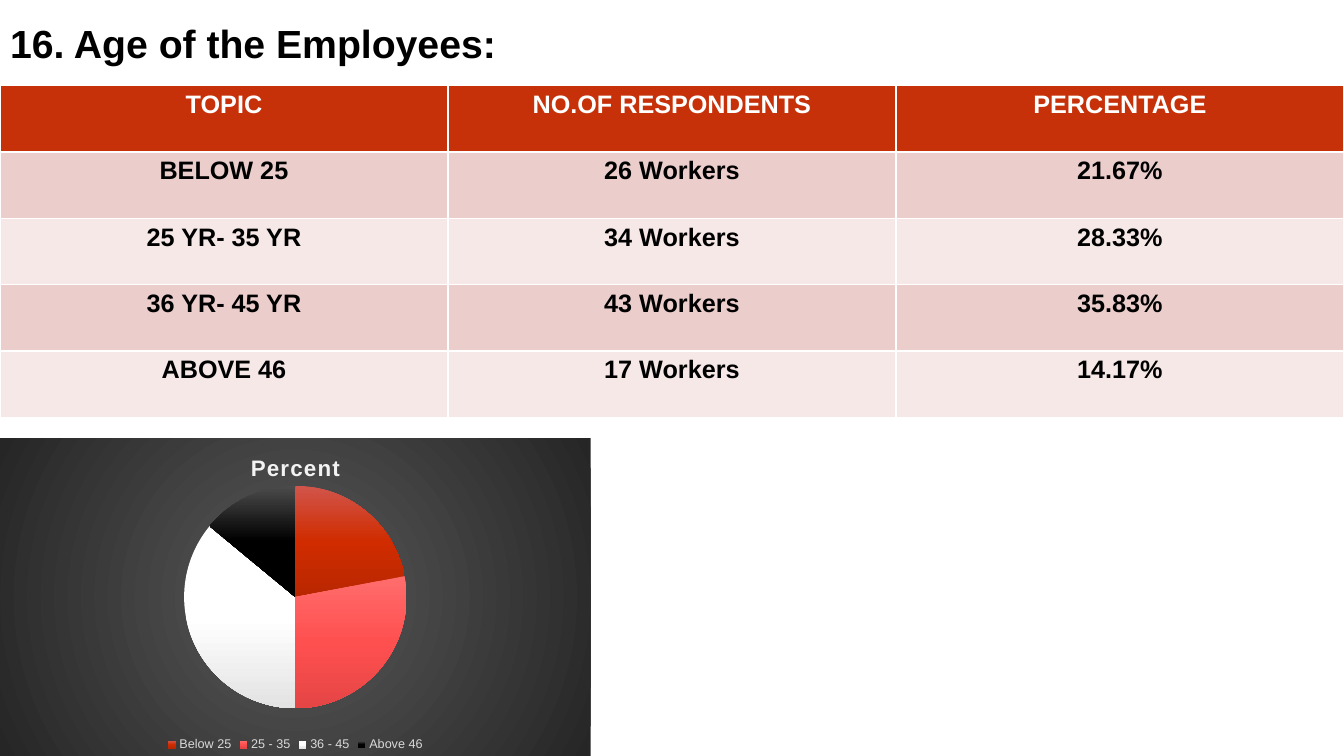
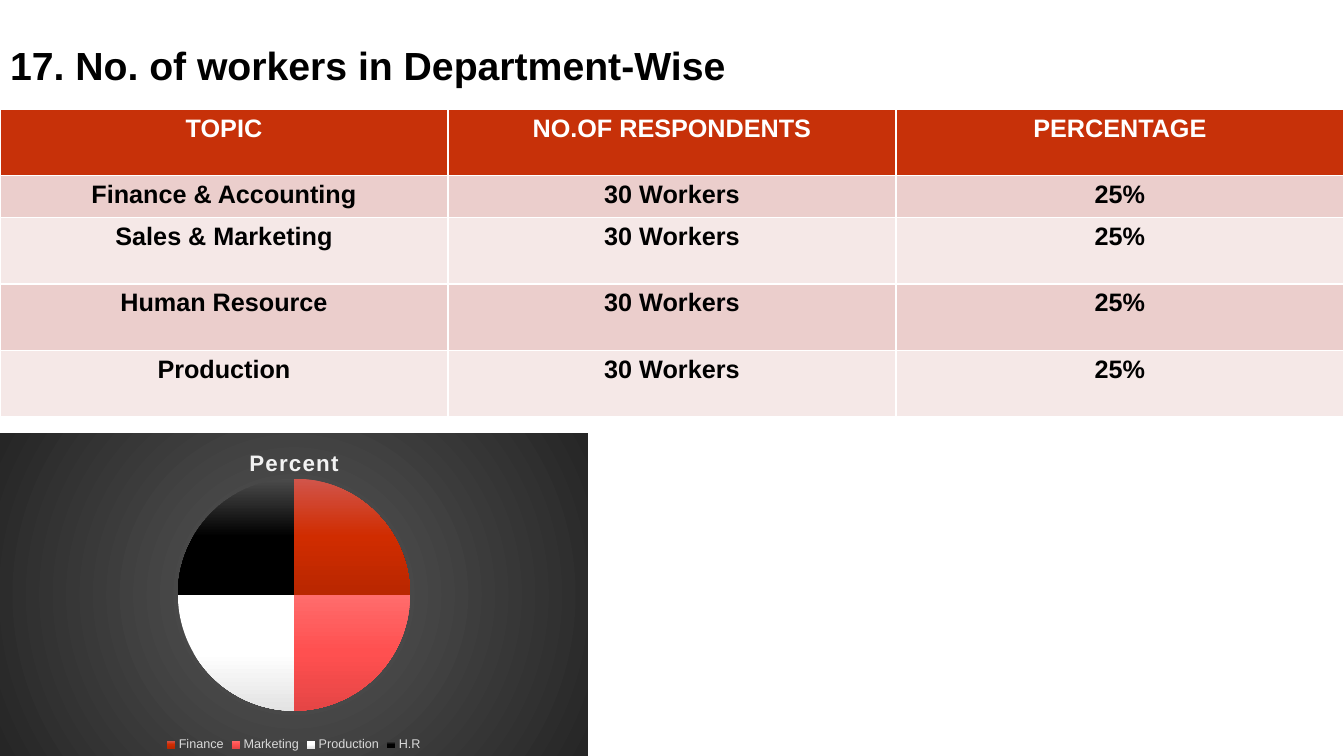
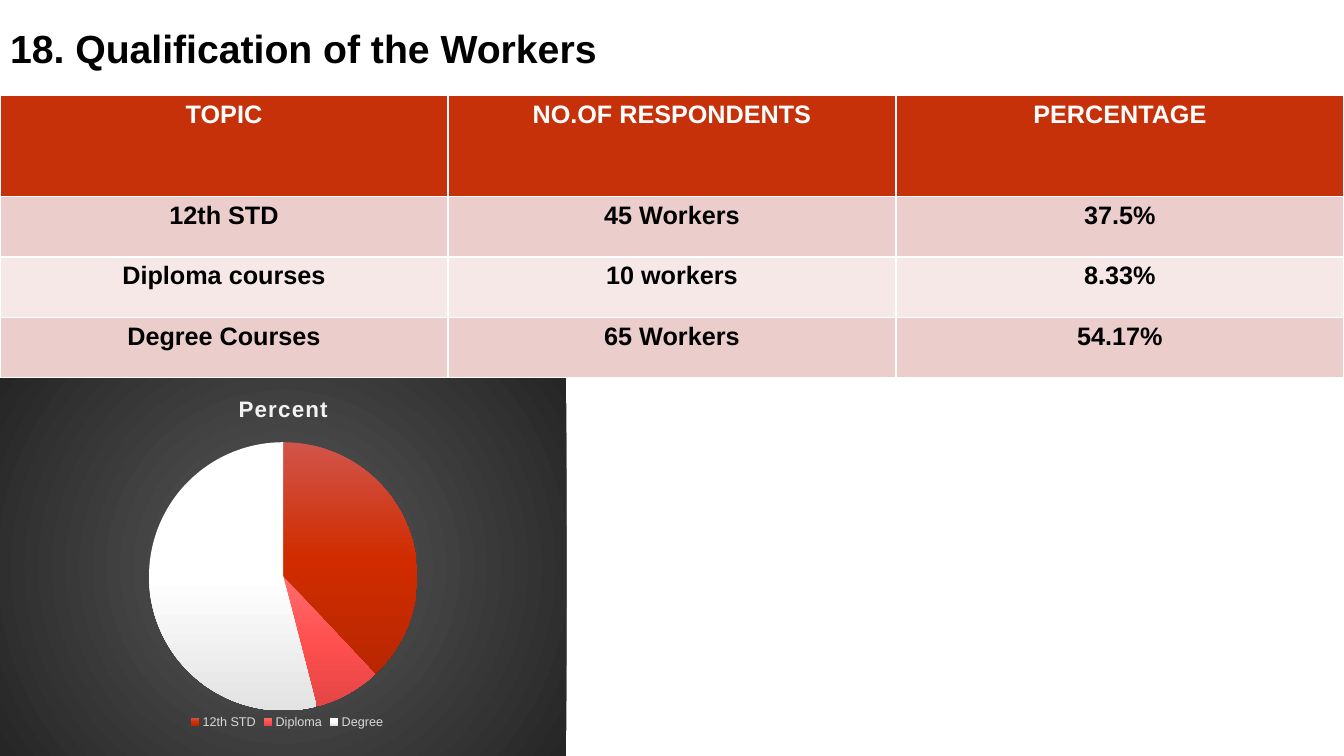
from dataclasses import dataclass

import pptx
import pptx.chart.data
import pptx.dml.color
import pptx.enum.chart
import pptx.enum.text
import pptx.oxml
import pptx.oxml.ns
import pptx.util

Pt = pptx.util.Pt
WIDTH, HEIGHT = 960, 540


@dataclass(frozen=True)
class Theme:
    face: str = "Arial"
    ink: str = "000000"
    paper: str = "FFFFFF"
    head: str = "C73109"
    bands: tuple = ("EBCECC", "F5E8E7")
    glow: tuple = ("595959", "262626")
    slices: tuple = (
        ("D1554B", "D02C00", "B92700"),
        ("FF6C6C", "FF5050", "E54545"),
        ("FFFFFF", "FFFFFF", "E3E3E3"),
        ("4B4B4B", "000000", "000000"),
    )
    label: str = "F2F2F2"
    key: str = "D9D9D9"
    title_size: int = 28
    cell_size: int = 18
    label_size: int = 16
    chart_size: int = 10
    key_size: int = 9


THEME = Theme()


def style(font, size, colour, bold=False):
    font.name = THEME.face
    font.size = Pt(size)
    font.bold = bold
    font.color.rgb = pptx.dml.color.RGBColor.from_string(colour)


def blend(colours, shade):
    """Return shape properties with evenly spaced colour stops."""
    step = 100000 // (len(colours) - 1)
    stops = "".join(
        f'<a:gs pos="{i * step}"><a:srgbClr val="{colour}"/></a:gs>'
        for i, colour in enumerate(colours)
    )
    return pptx.oxml.parse_xml(
        f'<c:spPr {pptx.oxml.ns.nsdecls("c", "a")}><a:gradFill>'
        f"<a:gsLst>{stops}</a:gsLst>{shade}</a:gradFill>"
        "<a:ln><a:noFill/></a:ln></c:spPr>"
    )


def place(node, index, box, target=""):
    """Fix a chart part at fractions of the chart: x, y and maybe w, h."""
    for old in node.findall(pptx.oxml.ns.qn("c:layout")):
        node.remove(old)
    modes = '<c:xMode val="edge"/><c:yMode val="edge"/>'
    sizes = "".join(f'<c:{k} val="{v}"/>' for k, v in zip("xywh", box))
    node.insert(index, pptx.oxml.parse_xml(
        f'<c:layout {pptx.oxml.ns.nsdecls("c")}><c:manualLayout>'
        f"{target}{modes}{sizes}</c:manualLayout></c:layout>"
    ))


def add_title(slide, text, box):
    title = slide.shapes.title
    title.left, title.top, title.width, title.height = map(Pt, box)
    frame = title.text_frame
    frame.text = text
    frame.vertical_anchor = pptx.enum.text.MSO_ANCHOR.MIDDLE
    line = frame.paragraphs[0]
    line.alignment = pptx.enum.text.PP_ALIGN.LEFT
    style(line.runs[0].font, THEME.title_size, THEME.ink, True)


def add_grid(slide, rows, heights, left, top, width):
    rows = [("TOPIC", "NO.OF RESPONDENTS", "PERCENTAGE"), *rows]
    table = slide.shapes.add_table(
        len(rows), len(rows[0]),
        Pt(left), Pt(top), Pt(width), Pt(sum(heights)),
    ).table
    for r, row in enumerate(rows):
        table.rows[r].height = Pt(heights[r])
        fill = THEME.bands[(r - 1) % 2] if r else THEME.head
        for c, text in enumerate(row):
            cell = table.cell(r, c)
            cell.fill.solid()
            cell.fill.fore_color.rgb = pptx.dml.color.RGBColor.from_string(fill)
            cell.text = text
            line = cell.text_frame.paragraphs[0]
            line.alignment = pptx.enum.text.PP_ALIGN.CENTER
            style(line.runs[0].font, THEME.cell_size,
                  THEME.ink if r else THEME.paper, True)


def add_pie(slide, shares, box, plot, key):
    data = pptx.chart.data.CategoryChartData()
    data.categories = list(shares)
    data.add_series("Percent", shares.values())
    chart = slide.shapes.add_chart(
        pptx.enum.chart.XL_CHART_TYPE.PIE, *map(Pt, box), data
    ).chart
    style(chart.font, THEME.chart_size, THEME.ink)

    chart.has_title = True
    chart.chart_title.include_in_layout = False
    frame = chart.chart_title.text_frame
    frame.text = "Percent"
    run = frame.paragraphs[0].runs[0]
    style(run.font, THEME.label_size, THEME.label, True)
    run._r.get_or_add_rPr().set("spc", "100")

    chart.has_legend = True
    chart.legend.position = pptx.enum.chart.XL_LEGEND_POSITION.BOTTOM
    chart.legend.include_in_layout = False
    style(chart.legend.font, THEME.key_size, THEME.key)

    pie = chart.plots[0]
    pie.vary_by_categories = True
    for i in range(len(shares)):
        pie.series[0].points[i].format.fill.background()

    space = chart._chartSpace
    for old, colours in zip(space.xpath(".//c:dPt/c:spPr"), THEME.slices):
        old.getparent().replace(old, blend(colours, '<a:lin ang="5400000"/>'))
    space.find(pptx.oxml.ns.qn("c:chart")).addnext(blend(
        THEME.glow,
        '<a:path path="circle"><a:fillToRect l="50000" t="50000" '
        'r="50000" b="50000"/></a:path>',
    ))
    place(space.xpath(".//c:plotArea")[0], 0, plot,
          '<c:layoutTarget val="inner"/>')
    if key:
        place(space.xpath(".//c:legend")[0], 1, key)


def add_survey(deck, title, top, head, rows, heights, shares, pie, plot,
               key=None):
    """Add a slide: title, table right below it, pie at the lower left."""
    slide = deck.slides.add_slide(deck.slide_layouts[5])
    add_title(slide, title, (0, top, WIDTH, head))
    add_grid(slide, rows, heights, 0, top + head, WIDTH)
    wide, high = pie
    add_pie(slide, shares, (0, HEIGHT - high, wide, high), plot, key)


def main():
    deck = pptx.Presentation()
    deck.slide_width, deck.slide_height = Pt(WIDTH), Pt(HEIGHT)
    tall, slim = 47.4, 30

    add_survey(
        deck, "16. Age of the Employees:", 0, 61.2,
        [
            ("BELOW 25", "26 Workers", "21.67%"),
            ("25 YR- 35 YR", "34 Workers", "28.33%"),
            ("36 YR- 45 YR", "43 Workers", "35.83%"),
            ("ABOVE 46", "17 Workers", "14.17%"),
        ],
        [tall] * 5,
        {"Below 25": 22, "25 - 35": 28, "36 - 45": 36, "Above 46": 14},
        (422, 227), (0, 0.15, 1, 0.7),
    )
    add_survey(
        deck, "17. No. of workers in Department-Wise", 15, 63,
        [
            (topic, "30 Workers", "25%")
            for topic in ("Finance & Accounting", "Sales & Marketing",
                          "Human Resource", "Production")
        ],
        [tall, slim, tall, tall, tall],
        dict.fromkeys(("Finance", "Marketing", "Production", "H.R"), 25),
        (420, 230.4), (0, 0.14, 1, 0.72),
    )
    add_survey(
        deck, "18. Qualification of the Workers", 0, 68.4,
        [
            ("12th STD", "45 Workers", "37.5%"),
            ("Diploma courses", "10 workers", "8.33%"),
            ("Degree Courses", "65 Workers", "54.17%"),
        ],
        [72, 43.2, 43.2, 43.2],
        {"12th STD": 38, "Diploma": 8, "Degree": 54},
        (404.6, 270), (0, 0.17, 1, 0.71), (0.33, 0.88),
    )
    deck.save("out.pptx")


if __name__ == "__main__":
    main()
